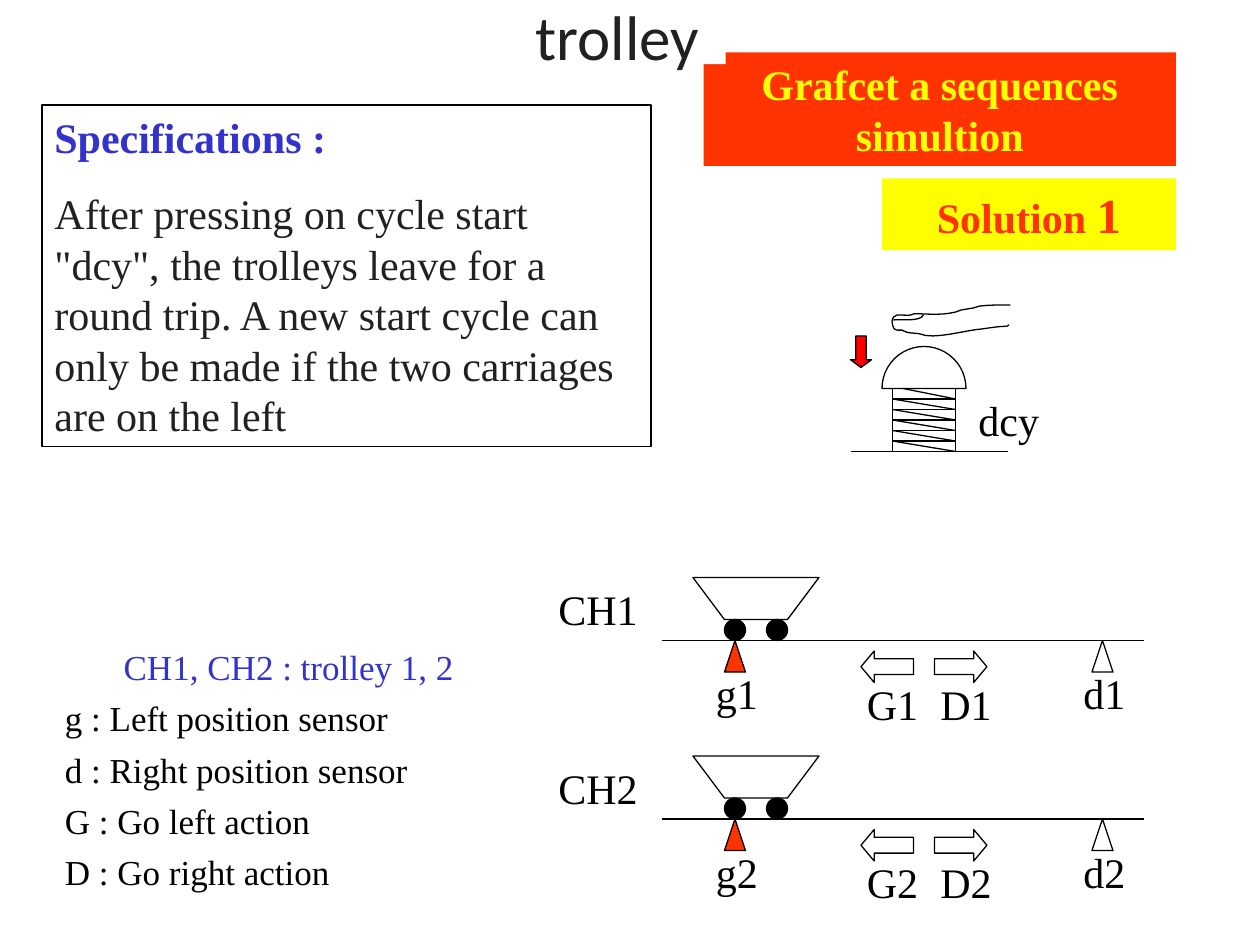
import pptx
import pptx.util
import pptx.dml.color
import pptx.enum.shapes
import pptx.enum.text
import pptx.oxml.ns
import lxml.etree

RGBColor = pptx.dml.color.RGBColor
SHAPE = pptx.enum.shapes.MSO_SHAPE
ALIGN = pptx.enum.text.PP_ALIGN
ANCHOR = pptx.enum.text.MSO_ANCHOR
AUTO = pptx.enum.text.MSO_AUTO_SIZE
Pt = pptx.util.Pt

BLACK = RGBColor(0x00, 0x00, 0x00)
WHITE = RGBColor(0xFF, 0xFF, 0xFF)
DARK = RGBColor(0x21, 0x21, 0x21)
BLUE = RGBColor(0x33, 0x33, 0xCC)
ORANGE = RGBColor(0xFF, 0x33, 0x00)
RED = RGBColor(0xFF, 0x00, 0x00)
YELLOW = RGBColor(0xFF, 0xFF, 0x00)

COLS, ROWS = 120, 90
CELL = pptx.util.Inches(10) / COLS
SERIF = "Times New Roman"

TITLE = "trolley"
SPECIFICATIONS = [
    [("Specifications :", {"color": BLUE, "bold": True})],
    [('After pressing on cycle start "dcy", the trolleys leave for a round trip. '
      "A new start cycle can only be made if the two carriages are on the left",
      {"color": DARK})],
]
HEADING = [[("Grafcet a sequences simultion", {"color": YELLOW, "bold": True})]]
SOLUTION = [[("Solution ", {"color": ORANGE, "bold": True}),
             ("1", {"color": ORANGE, "bold": True, "size": Pt(28)})]]
LEGEND = ["CH1, CH2 : trolley 1, 2", "g : Left position sensor",
          "d : Right position sensor", "G : Go left action", "D : Go right action"]
TRACKS = {"1": 61, "2": 78}
TRACK_LABELS = [("CH", 52, -6, 14, ALIGN.LEFT), ("g", 67, 2, 8, ALIGN.LEFT),
                ("d", 102, 2, 7, ALIGN.LEFT), ("G", 81, 3, 8, ALIGN.CENTER),
                ("D", 88, 3, 8, ALIGN.CENTER)]

HAND = [(8.02, 2.42), (7.93, 2.42), (7.85, 2.42), (7.77, 2.43),
        (7.72, 2.45), (7.68, 2.45), (7.63, 2.46), (7.52, 2.51), (7.36, 2.49), (7.26, 2.49),
        (7.19, 2.51), (7.24, 2.5), (7.12, 2.5), (7.09, 2.52), (7.09, 2.51), (7.08, 2.55),
        (7.09, 2.63), (7.11, 2.62), (7.16, 2.62), (7.21, 2.65), (7.25, 2.64), (7.3, 2.65),
        (7.41, 2.7), (7.66, 2.62), (7.8, 2.61), (7.87, 2.6), (7.93, 2.59), (7.99, 2.59),
        (8.01, 2.58), (8, 2.58), (8.01, 2.58)]
THUMB = [(7.09, 2.54), (7.13, 2.53), (7.3, 2.56), (7.33, 2.5)]


def cells(*values):
    return [round(v * CELL) for v in values]


def paint(sp, fill=None, line=BLACK):
    sp.shadow.inherit = False
    if fill is None:
        sp.fill.background()
    else:
        sp.fill.solid()
        sp.fill.fore_color.rgb = fill
    if line is None:
        sp.line.fill.background()
    else:
        sp.line.color.rgb = line
        sp.line.width = Pt(0.75)


def add_shape(parent, kind, box, fill=None, line=BLACK, adjust=()):
    sp = parent.shapes.add_shape(kind, *cells(*box))
    for i, value in enumerate(adjust):
        sp.adjustments[i] = value
    paint(sp, fill, line)
    return sp


def add_line(parent, x1, y1, x2, y2):
    c = parent.shapes.add_connector(pptx.enum.shapes.MSO_CONNECTOR.STRAIGHT,
                                    *cells(x1, y1, x2, y2))
    c.line.color.rgb = BLACK
    c.line.width = Pt(0.75)
    lxml.etree.SubElement(c.element.spPr, pptx.oxml.ns.qn("a:effectLst"))


def add_outline(parent, points, close=False):
    b = parent.shapes.build_freeform(*points[0], scale=1.0)
    b.add_line_segments(points[1:], close=close)
    paint(b.convert_to_shape())


def bezier_points(controls, steps=8):
    points = [controls[0]]
    for k in range(0, len(controls) - 1, 3):
        for t in (n / steps for n in range(1, steps + 1)):
            weights = ((1 - t) ** 3, 3 * t * (1 - t) ** 2, 3 * t * t * (1 - t), t ** 3)
            points.append([sum(w * c[axis] for w, c in zip(weights, controls[k:k + 4]))
                           for axis in (0, 1)])
    return [(pptx.util.Inches(x), pptx.util.Inches(y)) for x, y in points]


def write(sp, paragraphs, **formats):
    tf = sp.text_frame
    tf.word_wrap = True
    tf.auto_size = AUTO.SHAPE_TO_FIT_TEXT
    tf.vertical_anchor = ANCHOR.TOP
    for i, runs in enumerate(paragraphs):
        p = tf.add_paragraph() if i else tf.paragraphs[0]
        layout = {"alignment": ALIGN.LEFT, "space_before": Pt(15), **formats}
        for name, value in layout.items():
            setattr(p, name, value)
        for text, style in runs:
            r = p.add_run()
            r.text = text
            font = {"name": SERIF, "size": Pt(24), "bold": False, "color": BLACK, **style}
            r.font.color.rgb = font.pop("color")
            for name, value in font.items():
                setattr(r.font, name, value)


def add_text(parent, box, paragraphs, **formats):
    write(parent.shapes.add_textbox(*cells(*box)), paragraphs, **formats)


def add_track(s, number, y):
    add_line(s, 63, y, 109, y)
    trolley = s.shapes.add_group_shape()
    tub = [(66, y - 6), (69, y - 2), (75, y - 2), (78, y - 6)]
    add_outline(trolley, [cells(*corner) for corner in tub], close=True)
    for x in (69, 73):
        add_shape(trolley, SHAPE.OVAL, (x, y - 2, 2, 2), BLACK)
    for x, fill in ((69, ORANGE), (104, None)):
        add_shape(s, SHAPE.ISOSCELES_TRIANGLE, (x, y, 2, 3), fill)
    for x, kind in ((82, SHAPE.LEFT_ARROW), (89, SHAPE.RIGHT_ARROW)):
        add_shape(s, kind, (x, y + 1, 5, 3), adjust=(0.5, 0.42))
    for name, x, dy, width, align in TRACK_LABELS:
        add_text(s, (x, y + dy, width, 6), [[(name + number, {})]], alignment=align)


def add_button(s):
    button = s.shapes.add_group_shape()
    add_shape(button, SHAPE.RECTANGLE, (85, 37, 6, 6))
    add_shape(button, SHAPE.CHORD, (84, 33, 8, 8), adjust=(108, 0))
    for y in range(37, 43):
        add_line(button, 86 if y == 37 else 85, y, 91, y + 1)
        if y < 42:
            add_line(button, 91, y + 1, 85, y + 1)
    add_line(button, 81, 43, 96, 43)
    for curve in (HAND, THUMB):
        add_outline(button, bezier_points(curve))
    add_shape(button, SHAPE.DOWN_ARROW, (81, 32, 2, 3), RED, adjust=(0.5, 0.37))
    add_text(button, (92, 37, 16, 6), [[("dcy", {})]])


def add_title(s):
    sp = s.shapes.title
    sp.left, sp.top, sp.width, sp.height = cells(51, -0.24, 18.12, 6.36)
    sp.fill.solid()
    sp.fill.fore_color.rgb = WHITE
    write(sp, [[(TITLE, {"name": "Calibri", "size": Pt(36), "color": DARK})]],
          space_before=Pt(0))
    frame = {"auto_size": AUTO.NONE, "vertical_anchor": ANCHOR.MIDDLE, "margin_left": 0,
             "margin_right": 0, "margin_top": 0, "margin_bottom": pptx.util.Inches(-0.07)}
    for name, value in frame.items():
        setattr(sp.text_frame, name, value)
    s.shapes.element.append(sp.element)


def main():
    """Build the trolley slide and save it."""
    prs = pptx.Presentation()
    prs.slide_width, prs.slide_height = cells(COLS, ROWS)
    s = prs.slides.add_slide(prs.slide_layouts[5])
    for number, y in TRACKS.items():
        add_track(s, number, y)
    add_button(s)
    write(add_shape(s, SHAPE.RECTANGLE, (67, 5, 45, 10.8), ORANGE, None), HEADING,
          alignment=ALIGN.CENTER)
    write(add_shape(s, SHAPE.RECTANGLE, (4, 10, 58, 32.5)), SPECIFICATIONS)
    add_text(s, (5, 62, 45, 23.5),
             [[(text, {"size": Pt(20), "color": BLACK if i else BLUE})]
              for i, text in enumerate(LEGEND)],
             line_spacing=0.7, space_before=Pt(12.5))
    s.shapes[-1].text_frame.paragraphs[0].alignment = ALIGN.CENTER
    write(add_shape(s, SHAPE.RECTANGLE, (84, 17, 28, 6.84), YELLOW, None), SOLUTION,
          alignment=ALIGN.CENTER, space_before=Pt(17.5))
    add_title(s)
    prs.save("out.pptx")


if __name__ == "__main__":
    main()
